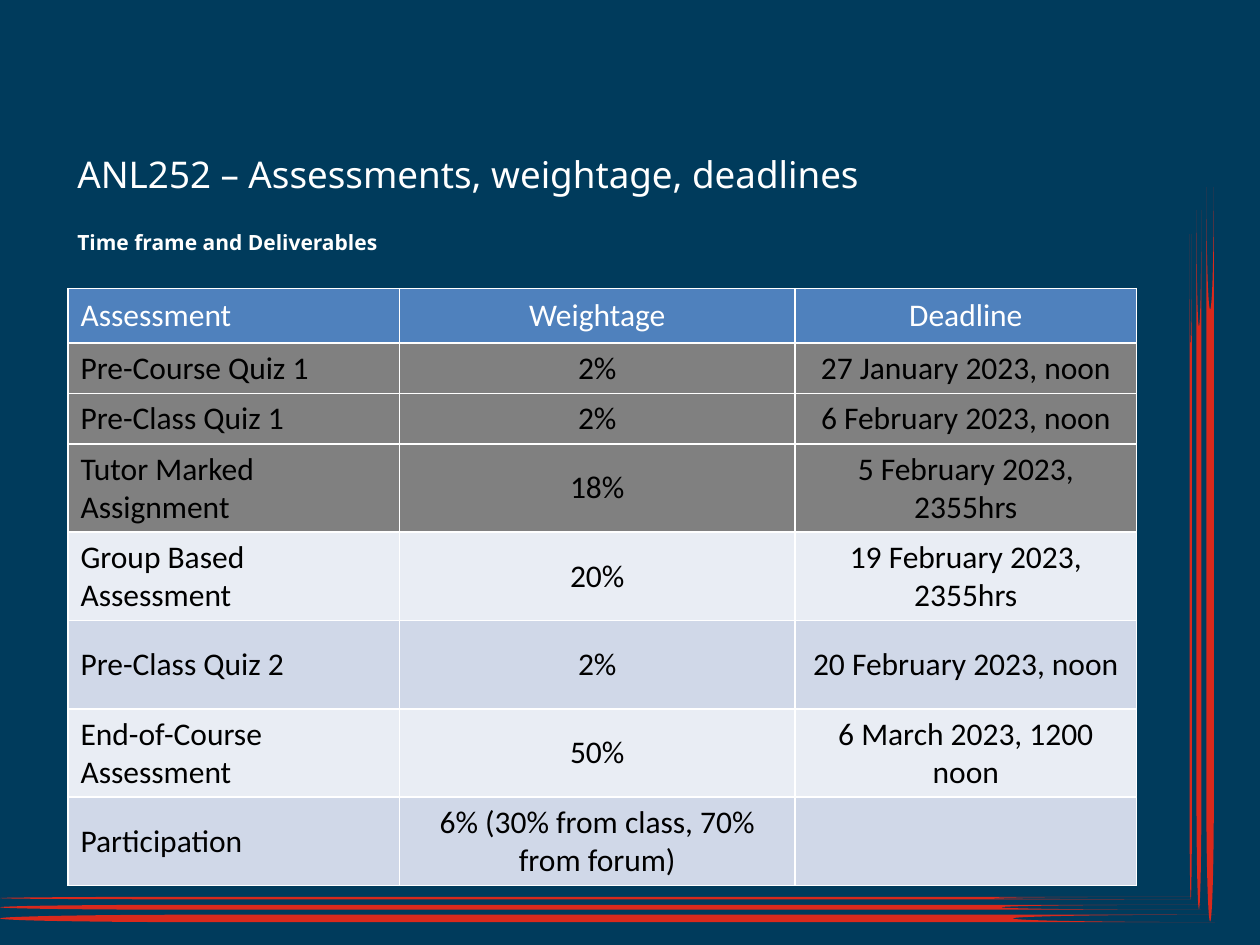
from dataclasses import dataclass

from lxml import etree
from pptx import Presentation
from pptx.dml.color import RGBColor
from pptx.enum import shapes, text
from pptx.oxml import ns
from pptx.slide import Slide
from pptx.table import _Cell
from pptx.util import Cm, Pt

NAVY = RGBColor(0x00, 0x3B, 0x5C)
RED = RGBColor(0xDA, 0x29, 0x1C)
WHITE = RGBColor(0xFF, 0xFF, 0xFF)
BLACK = RGBColor(0x00, 0x00, 0x00)
BLUE = RGBColor(0x4F, 0x81, 0xBD)
GREY = RGBColor(0x80, 0x80, 0x80)
PALE = RGBColor(0xE9, 0xED, 0xF4)
PALE_BLUE = RGBColor(0xD0, 0xD8, 0xE8)


@dataclass(frozen=True)
class Stripe:
    left: float
    top: float
    length: float
    thickness: float
    rotation: int = 0


@dataclass(frozen=True)
class Heading:
    wording: str
    top: float
    width: float
    height: float
    size: int
    bold: bool = False


@dataclass(frozen=True)
class Assessment:
    name: str
    weightage: str
    deadline: str
    fill: RGBColor
    height: float = 1.02
    color: RGBColor = BLACK


STRIPES = (
    Stripe(0, 18.08, 24.0, 0.05),
    Stripe(0, 18.24, 24.21, 0.1),
    Stripe(0, 18.44, 24.49, 0.15),
    Stripe(17.3, 11.4, 13.41, 0.05, 270),
    Stripe(17.12, 11.23, 14.1, 0.1, 270),
    Stripe(16.99, 11.1, 14.81, 0.15, 270),
)
HEADINGS = (
    Heading("ANL252 – Assessments, weightage, deadlines", 2.95, 17.25, 1.27, 21),
    Heading("Time frame and Deliverables", 4.52, 15.72, 0.64, 12, True),
)
ASSESSMENTS = (
    Assessment("Assessment", "Weightage", "Deadline", BLUE, 1.09, WHITE),
    Assessment("Pre-Course Quiz 1", "2%", "27 January 2023, noon", GREY),
    Assessment("Pre-Class Quiz 1", "2%", "6 February 2023, noon", GREY),
    Assessment("Tutor Marked Assignment", "18%", "5 February 2023, 2355hrs", GREY),
    Assessment("Group Based Assessment", "20%", "19 February 2023, 2355hrs", PALE, 1.78),
    Assessment("Pre-Class Quiz 2", "2%", "20 February 2023, noon", PALE_BLUE, 1.78),
    Assessment("End-of-Course Assessment", "50%", "6 March 2023, 1200 noon", PALE, 1.78),
    Assessment("Participation", "6% (30% from class, 70% from forum)", "", PALE_BLUE),
)
COLUMN_WIDTHS = (6.68, 7.98, 6.88)
LEFT = 1.37


def add_block(slide: Slide, kind: shapes.MSO_SHAPE, block: Stripe, color: RGBColor) -> None:
    shape = slide.shapes.add_shape(
        kind, Cm(block.left), Cm(block.top), Cm(block.length), Cm(block.thickness)
    )
    shape.rotation = block.rotation
    shape.shadow.inherit = False
    shape.fill.solid()
    shape.fill.fore_color.rgb = color
    shape.line.fill.background()


def add_heading(slide: Slide, heading: Heading) -> None:
    shape = slide.shapes.add_textbox(
        Cm(LEFT), Cm(heading.top), Cm(heading.width), Cm(heading.height)
    )
    frame = shape.text_frame
    frame.word_wrap = True
    frame.margin_left = frame.margin_right = Cm(0.19)
    frame.margin_top = frame.margin_bottom = Cm(0.1)
    paragraph = frame.paragraphs[0]
    paragraph.text = heading.wording
    paragraph.font.name = "Noto Sans"
    paragraph.font.size = Pt(heading.size)
    paragraph.font.bold = heading.bold
    paragraph.font.color.rgb = WHITE


def add_borders(cell: _Cell) -> None:
    properties = cell._tc.get_or_add_tcPr()
    for position, side in enumerate(("lnL", "lnR", "lnT", "lnB")):
        line = etree.Element(ns.qn(f"a:{side}"), w=str(Pt(1)))
        fill = etree.SubElement(line, ns.qn("a:solidFill"))
        etree.SubElement(fill, ns.qn("a:srgbClr"), val=str(WHITE))
        properties.insert(position, line)


def fill_cell(cell: _Cell, wording: str, row: Assessment, centred: bool) -> None:
    cell.fill.solid()
    cell.fill.fore_color.rgb = row.fill
    add_borders(cell)
    cell.vertical_anchor = text.MSO_ANCHOR.MIDDLE
    paragraph = cell.text_frame.paragraphs[0]
    paragraph.text = wording
    paragraph.alignment = text.PP_ALIGN.CENTER if centred else text.PP_ALIGN.LEFT
    paragraph.font.name = "Calibri"
    paragraph.font.size = Pt(18)
    paragraph.font.bold = False
    paragraph.font.color.rgb = row.color


def add_assessment_table(slide: Slide, rows: tuple[Assessment, ...]) -> None:
    table = slide.shapes.add_table(
        len(rows), len(COLUMN_WIDTHS), Cm(LEFT), Cm(5.82),
        Cm(sum(COLUMN_WIDTHS)), Cm(sum(row.height for row in rows)),
    ).table
    for column, width in zip(table.columns, COLUMN_WIDTHS):
        column.width = Cm(width)
    for index, row in enumerate(rows):
        table.rows[index].height = Cm(row.height)
        for column, wording in enumerate((row.name, row.weightage, row.deadline)):
            fill_cell(table.cell(index, column), wording, row, column > 0)


def main() -> None:
    """Build the assessment overview slide."""
    presentation = Presentation()
    presentation.slide_width = Cm(25.4)
    presentation.slide_height = Cm(19.05)
    slide = presentation.slides.add_slide(presentation.slide_layouts[6])
    backdrop = Stripe(0, 0, 25.4, 19.05)
    add_block(slide, shapes.MSO_SHAPE.RECTANGLE, backdrop, NAVY)
    for stripe in STRIPES:
        add_block(slide, shapes.MSO_SHAPE.FLOWCHART_STORED_DATA, stripe, RED)
    for heading in HEADINGS:
        add_heading(slide, heading)
    add_assessment_table(slide, ASSESSMENTS)
    presentation.save("out.pptx")


if __name__ == "__main__":
    main()
